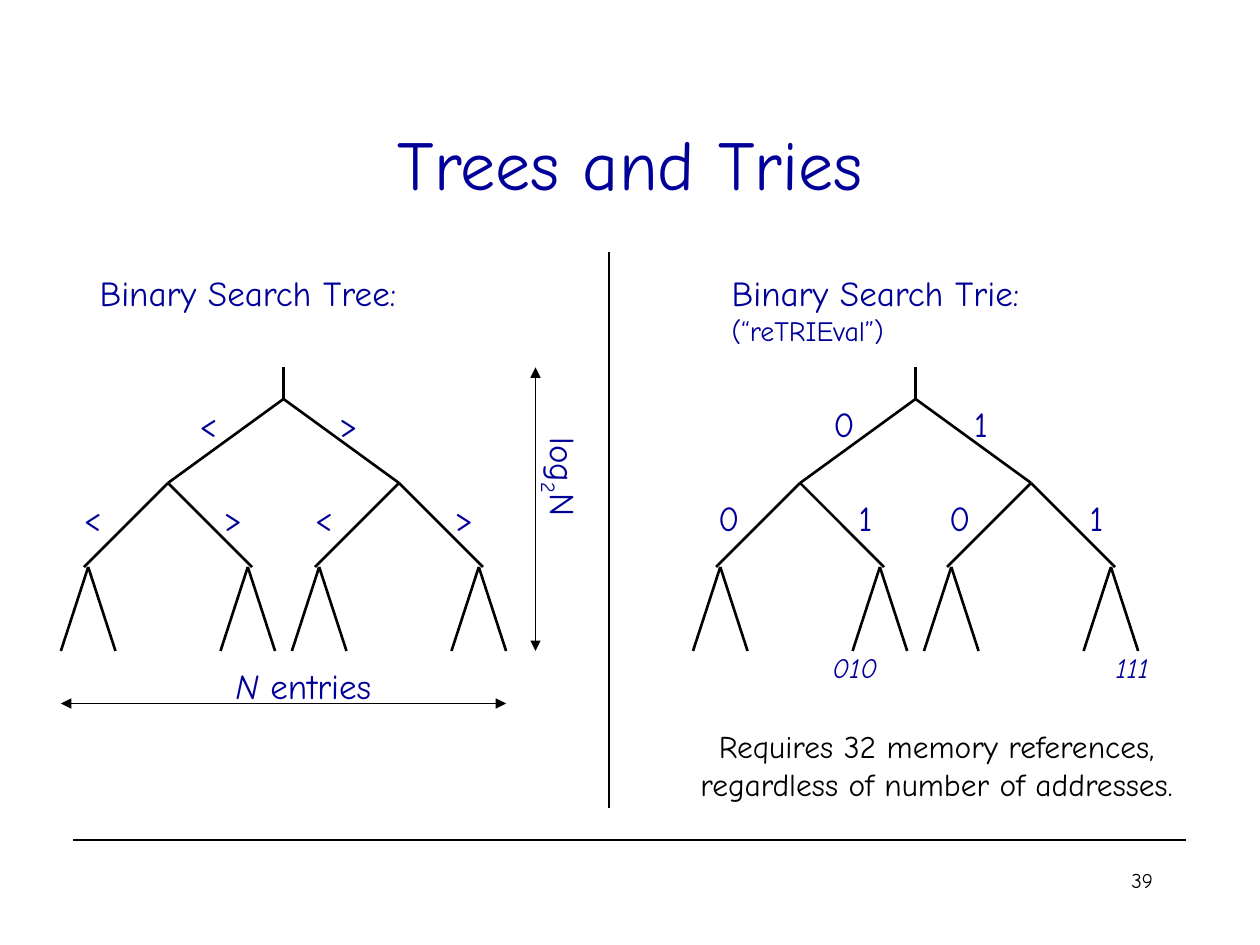
from typing import NamedTuple

from lxml.etree import SubElement
from pptx import Presentation
from pptx.dml.color import RGBColor
from pptx.enum.shapes import MSO_CONNECTOR as Connector
from pptx.enum.text import MSO_ANCHOR as Anchor, MSO_AUTO_SIZE as AutoSize, PP_ALIGN as Align
from pptx.oxml.ns import qn
from pptx.util import Inches, Pt

COLORS = {"blue": "000099", "black": "000000"}
FONT = "Comic Neue"

# Grid of 120 columns by 90 rows over the slide
WIDTH, HEIGHT = Inches(10), Inches(7.5)
COLUMN, ROW = WIDTH / 120, HEIGHT / 90


class Box(NamedTuple):
    left: float
    top: float
    width: float
    height: float


class Run(NamedTuple):
    text: str
    size: float = 20
    italic: bool = False
    baseline: int = 0


class Branch(NamedTuple):
    text: str
    offset: float  # columns from the parent node to the label's left edge
    width: float


class Tree(NamedTuple):
    column: float
    left: Branch
    right: Branch


class Level(NamedTuple):
    row: float
    label_top: float
    spread: float  # columns from a node to each of its children


TOP_ROW, LEAF_ROW, BOTTOM_ROW = 35, 54, 62
LEVELS = [Level(38, 37.7, 11), Level(46, 46.7, 8)]
LEAF_INSET, LEAF_SPREAD = 0.4, 2.6
SEARCH_TREE = Tree(27, Branch("<", -9.2, 4.1), Branch(">", 4.1, 4.2))
TRIE = Tree(87.2, Branch("0", -9, 4.4), Branch("1", 4.4, 3.8))


def place(shape, box: Box) -> None:
    shape.left, shape.width = round(box.left * COLUMN), round(box.width * COLUMN)
    shape.top, shape.height = round(box.top * ROW), round(box.height * ROW)


def fill_text(frame, paragraphs: list[list[Run]], *, color="blue", align=Align.LEFT) -> None:
    for index, runs in enumerate(paragraphs):
        paragraph = frame.add_paragraph() if index else frame.paragraphs[0]
        paragraph.alignment = align
        for part in runs:
            run = paragraph.add_run()
            run.text = part.text
            font = run.font
            font.name, font.size, font.italic = FONT, Pt(part.size), part.italic
            font.color.rgb = RGBColor.from_string(COLORS[color])
            if part.baseline:
                font._element.set("baseline", str(part.baseline * 1000))


def add_text(slide, box: Box, *paragraphs: list[Run], wrap=False, rotation=0, **text_format):
    shape = slide.shapes.add_textbox(0, 0, 0, 0)
    place(shape, box)
    shape.rotation = rotation
    frame = shape.text_frame
    frame.word_wrap = wrap
    frame.auto_size = AutoSize.NONE if wrap else AutoSize.SHAPE_TO_FIT_TEXT
    fill_text(frame, list(paragraphs), **text_format)


def add_line(slide, start: tuple, end: tuple, width: float = 1.5, arrows: bool = False) -> None:
    line = slide.shapes.add_connector(
        Connector.STRAIGHT,
        round(start[0] * COLUMN), round(start[1] * ROW),
        round(end[0] * COLUMN), round(end[1] * ROW),
    )
    line.line.width = Pt(width)
    line.line.color.rgb = RGBColor.from_string(COLORS["black"])
    if arrows:
        outline = line.line._get_or_add_ln()
        for tag in ("a:headEnd", "a:tailEnd"):
            SubElement(outline, qn(tag), type="triangle")
    SubElement(line._element.spPr, qn("a:effectLst"))


def add_fork(slide, column: float, row: float, spread: float, end_row: float) -> None:
    for side in (-1, 1):
        add_line(slide, (column, row), (column + side * spread, end_row))


def add_tree(slide, tree: Tree) -> None:
    add_line(slide, (tree.column, TOP_ROW), (tree.column, LEVELS[0].row))
    nodes = [(tree.column, 0)]
    end_rows = [level.row for level in LEVELS[1:]] + [LEAF_ROW]
    for level, end_row in zip(LEVELS, end_rows):
        for column, _ in nodes:
            add_fork(slide, column, level.row, level.spread, end_row)
            for branch in (tree.left, tree.right):
                box = Box(column + branch.offset, level.label_top, branch.width, 5.3)
                add_text(slide, box, [Run(branch.text)])
        nodes = [(column + side * level.spread, side) for column, _ in nodes for side in (-1, 1)]
    # The lowest forks sit slightly inside the branch ends
    for column, side in nodes:
        add_fork(slide, column - side * LEAF_INSET, LEAF_ROW, LEAF_SPREAD, BOTTOM_ROW)


def main() -> None:
    presentation = Presentation()
    presentation.slide_width, presentation.slide_height = WIDTH, HEIGHT
    slide = presentation.slides.add_slide(presentation.slide_layouts[5])

    # Title
    title = slide.shapes.title
    place(title, Box(9, 8, 102, 15))
    title.text_frame.auto_size = AutoSize.NONE
    title.text_frame.vertical_anchor = Anchor.MIDDLE
    fill_text(title.text_frame, [[Run("Trees and Tries", 40)]], align=Align.CENTER)

    # Footer rule, page number and divider between the halves
    add_line(slide, (7, 80), (113, 80), width=0.75)
    add_text(slide, Box(86, 82, 25, 6), [Run("39", 12)],
             wrap=True, color="black", align=Align.RIGHT)
    add_line(slide, (58, 24), (58, 77), width=0.75)

    # Binary search tree with its dimensions
    add_text(slide, Box(8.3, 25.25, 30.8, 5.3), [Run("Binary Search Tree:")])
    add_tree(slide, SEARCH_TREE)
    add_line(slide, (51, TOP_ROW), (51, BOTTOM_ROW), width=0.5, arrows=True)
    add_text(slide, Box(48.3, 42.7, 10.2, 5.8),
             [Run("log"), Run("2", baseline=-25), Run("N")], rotation=90)
    add_line(slide, (5.8, 67), (48.2, 67), width=0.5, arrows=True)
    add_text(slide, Box(21.25, 62.65, 15.4, 5.3), [Run("N", italic=True), Run(" entries")])

    # Binary search trie with two sample leaves
    add_text(slide, Box(68.5, 25.25, 31, 8.4),
             [Run("Binary Search Trie:")], [Run("(“reTRIEval”)", 16)])
    add_tree(slide, TRIE)
    for text, left, width in (("010", 78.1, 6.7), ("111", 105.1, 5.8)):
        add_text(slide, Box(left, 61.35, width, 4.4), [Run(text, 16, italic=True)])
    add_text(slide, Box(61.1, 68.65, 56.2, 8.4),
             [Run("Requires 32 memory references, regardless of number of addresses.", 18)],
             wrap=True, color="black", align=Align.CENTER)

    presentation.save("out.pptx")


if __name__ == "__main__":
    main()
